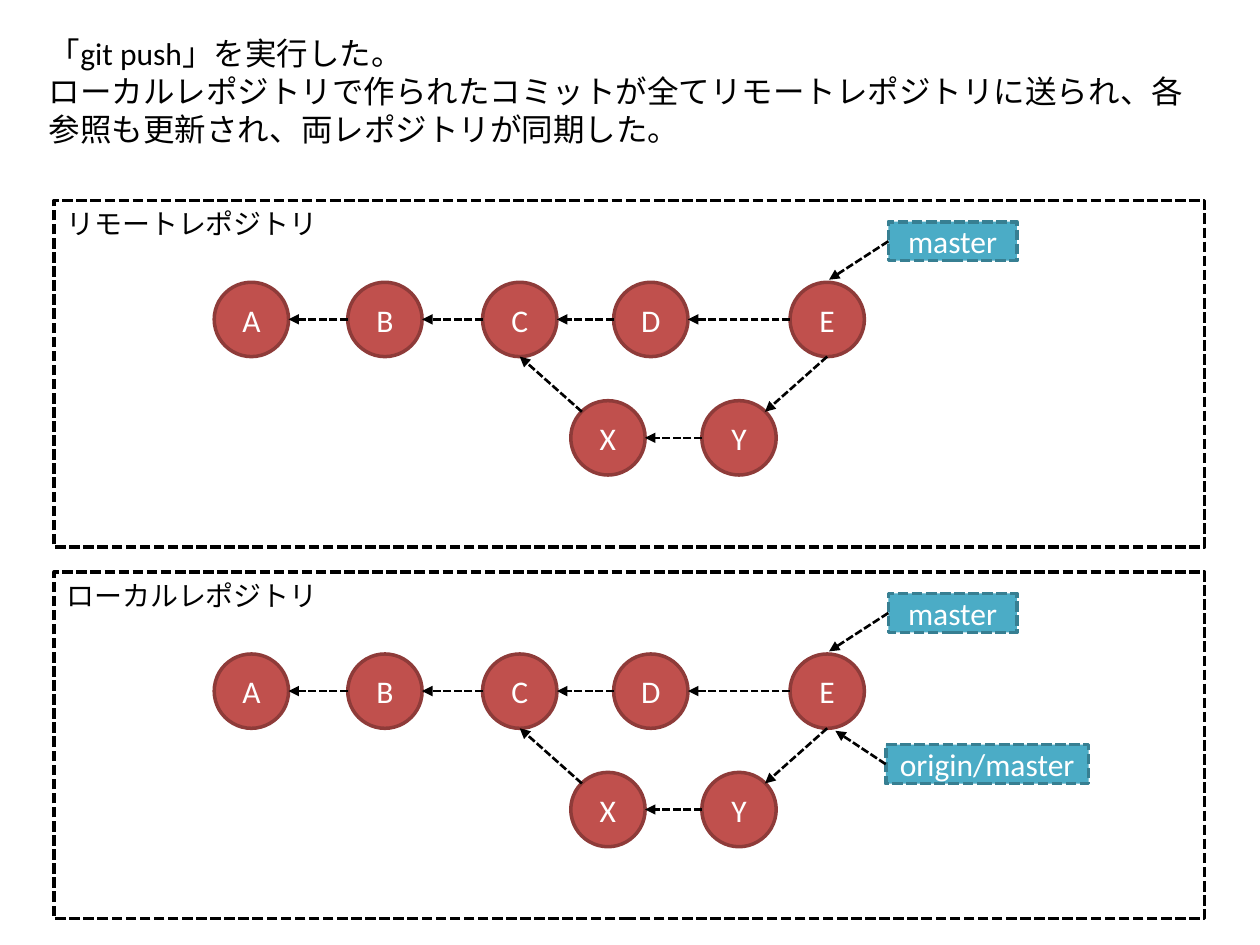
from lxml import etree
from pptx import Presentation
from pptx import util as u
from pptx.dml.color import RGBColor
from pptx.enum import dml, shapes, text
from pptx.oxml import ns

PX = u.Inches(1) // 100
BLACK = RGBColor(0x00, 0x00, 0x00)
WHITE = RGBColor(0xFF, 0xFF, 0xFF)
RED = RGBColor(0xC0, 0x50, 0x4D)
DARK_RED = RGBColor(0x8E, 0x3B, 0x39)
TEAL = RGBColor(0x4B, 0xAC, 0xC6)
DARK_TEAL = RGBColor(0x37, 0x7F, 0x92)

COMMIT_SIZE = 59
MAIN_TOP, BRANCH_TOP = 65, 159
COMMITS = {
    "A": (127, MAIN_TOP), "B": (233, MAIN_TOP), "C": (340, MAIN_TOP),
    "D": (444, MAIN_TOP), "E": (584, MAIN_TOP),
    "X": (410, BRANCH_TOP), "Y": (514, BRANCH_TOP),
}
LEFT, RIGHT, BOTTOM = (0, 0.5), (1, 0.5), (0.5, 1)
UPPER_LEFT, UPPER_RIGHT = (0.15, 0.15), (0.85, 0.15)
PARENTS = [
    ("B", LEFT, "A", RIGHT), ("C", LEFT, "B", RIGHT), ("D", LEFT, "C", RIGHT),
    ("E", LEFT, "D", RIGHT), ("Y", LEFT, "X", RIGHT),
    ("X", UPPER_LEFT, "C", BOTTOM), ("E", BOTTOM, "Y", UPPER_RIGHT),
]
MASTER = ("master", (662, 17, 102, 31), (615, 63))
ORIGIN_MASTER = ("origin/master", (660, 137, 161, 31), (620, 126))
EXPLANATION = [
    "「git push」を実行した。",
    "ローカルレポジトリで作られたコミットが全てリモートレポジトリに送られ、"
    "各参照も更新され、両レポジトリが同期した。",
]


def emu(*lengths):
    """Turn px lengths into EMU."""
    return [round(length * PX) for length in lengths]


def format_text(frame, size, color, align):
    """Give every run of a frame the same font and alignment."""
    for paragraph in frame.paragraphs:
        paragraph.alignment = align
        for run in paragraph.runs:
            run.font.name = "Calibri"
            run.font.size = u.Pt(size)
            run.font.color.rgb = color


def add_node(slide, kind, box, caption, fill, line, dashed=False):
    """Add an outlined shape with a centred caption."""
    node = slide.shapes.add_shape(kind, *emu(*box))
    node.shadow.inherit = False
    if fill is None:
        node.fill.background()
    else:
        node.fill.solid()
        node.fill.fore_color.rgb = fill
    node.line.color.rgb = line
    node.line.width = u.Pt(2)
    if dashed:
        node.line.dash_style = dml.MSO_LINE.SQUARE_DOT
    node.text_frame.text = caption
    node.text_frame.vertical_anchor = text.MSO_ANCHOR.MIDDLE
    format_text(node.text_frame, 18, WHITE, text.PP_ALIGN.CENTER)
    return node


def add_arrow(slide, start, end):
    """Add a dashed arrow between two points."""
    arrow = slide.shapes.add_connector(
        shapes.MSO_CONNECTOR.STRAIGHT, *emu(*start, *end))
    arrow.line.color.rgb = BLACK
    arrow.line.width = u.Pt(1.5)
    arrow.line.dash_style = dml.MSO_LINE.SQUARE_DOT
    etree.SubElement(arrow.line._get_or_add_ln(), ns.qn("a:tailEnd"), type="triangle")
    etree.SubElement(arrow._element.spPr, ns.qn("a:effectLst"))
    return arrow


def add_explanation(slide, box):
    """Write the explanation above the repositories."""
    frame = slide.shapes.add_textbox(*emu(*box)).text_frame
    frame.word_wrap = True
    frame.auto_size = text.MSO_AUTO_SIZE.SHAPE_TO_FIT_TEXT
    frame.text = "\n".join(EXPLANATION)
    format_text(frame, 18, BLACK, text.PP_ALIGN.LEFT)


def add_repository(slide, box, title, references):
    """Draw a repository with its commit graph and references."""
    left, top = box[:2]
    panel = add_node(slide, shapes.MSO_SHAPE.RECTANGLE, box, title, None, BLACK, True)
    panel.text_frame.vertical_anchor = text.MSO_ANCHOR.TOP
    format_text(panel.text_frame, 16, BLACK, text.PP_ALIGN.LEFT)

    def commit_point(commit, spot):
        """Locate a spot on the edge of a commit."""
        x, y = COMMITS[commit]
        return left + x + spot[0] * COMMIT_SIZE, top + y + spot[1] * COMMIT_SIZE

    for commit, (x, y) in COMMITS.items():
        add_node(slide, shapes.MSO_SHAPE.OVAL,
                 (left + x, top + y, COMMIT_SIZE, COMMIT_SIZE), commit, RED, DARK_RED)
    for child, child_spot, parent, parent_spot in PARENTS:
        add_arrow(slide, commit_point(child, child_spot),
                  commit_point(parent, parent_spot))
    for name, (x, y, width, height), (tip_x, tip_y) in references:
        reference = add_node(slide, shapes.MSO_SHAPE.RECTANGLE,
                             (left + x, top + y, width, height),
                             name, TEAL, DARK_TEAL, True)
        reference.text_frame.word_wrap = False
        pointer = add_arrow(slide, (left + x, top + y + height / 2),
                            (left + tip_x, top + tip_y))
        pointer.begin_connect(reference, 1)


def main():
    """Build the slide and save it."""
    deck = Presentation()
    deck.slide_width, deck.slide_height = emu(1000, 750)
    slide = deck.slides.add_slide(deck.slide_layouts[6])
    add_explanation(slide, (29, 22, 943, 101))
    add_repository(slide, (43, 159, 913, 275), "リモートレポジトリ", [MASTER])
    add_repository(slide, (43, 454, 913, 275), "ローカルレポジトリ",
                   [MASTER, ORIGIN_MASTER])
    deck.save("out.pptx")


if __name__ == "__main__":
    main()
